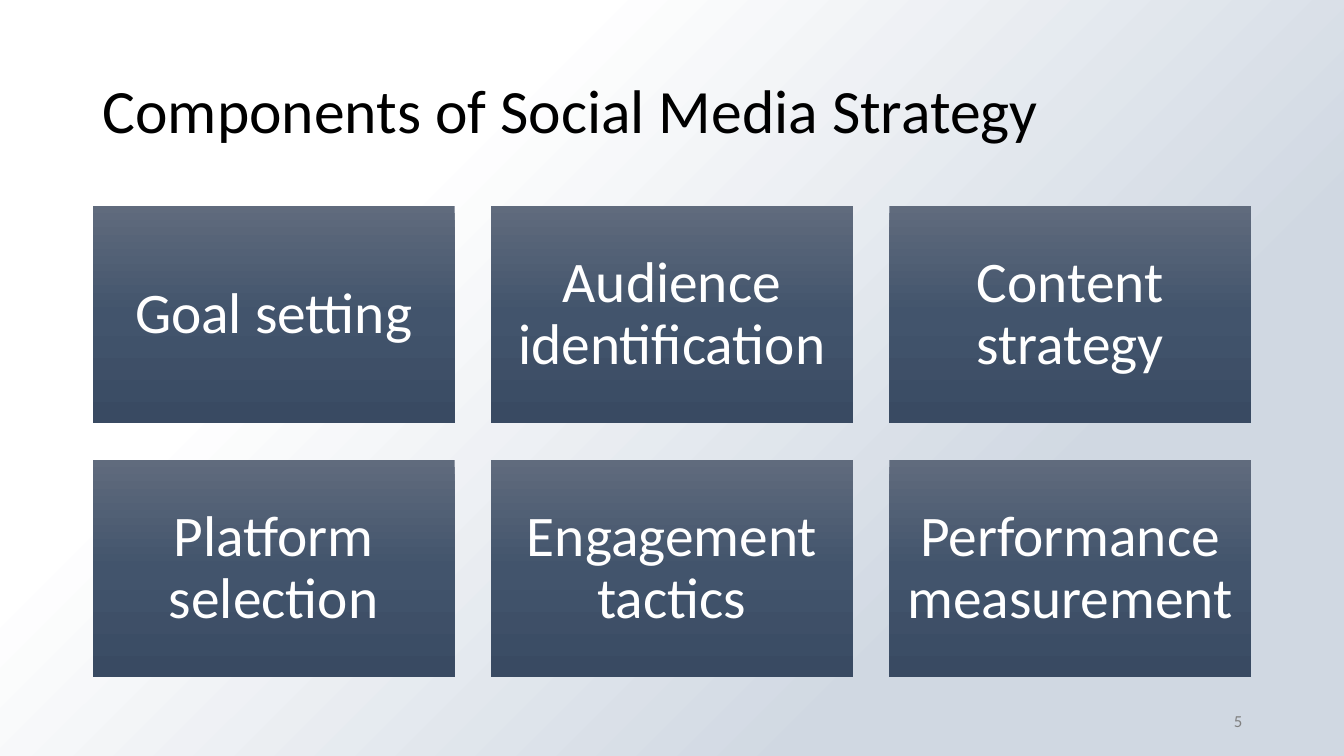
from lxml.etree import SubElement
from pptx import Presentation
from pptx.dml.color import RGBColor
from pptx.enum.shapes import MSO_SHAPE as Shape
from pptx.enum.text import MSO_ANCHOR as Anchor, PP_ALIGN as Align
from pptx.oxml.ns import qn
from pptx.util import Inches, Pt

BLACK = RGBColor(0x00, 0x00, 0x00)
WHITE = RGBColor(0xFF, 0xFF, 0xFF)
GRAY = RGBColor(0x80, 0x80, 0x80)
BLUE = RGBColor(0x5B, 0x9B, 0xD5)
MIST = RGBColor(0xD0, 0xD8, 0xE2)
SLATE_LIGHT = RGBColor(0x60, 0x6B, 0x7D)
SLATE = RGBColor(0x42, 0x54, 0x6C)
SLATE_DARK = RGBColor(0x39, 0x4A, 0x62)

WIDTH, HEIGHT = 13.33, 7.5
LEFT, TOP = 0.92, 2.04
CARD_WIDTH, CARD_HEIGHT, GAP = 3.59, 2.16, 0.36
COLUMNS = 3

COMPONENTS = [
    "Goal setting", "Audience identification", "Content strategy",
    "Platform selection", "Engagement tactics", "Performance measurement",
]


class StrategySlide:
    """Draws the strategy slide in one shared style."""

    font_name = "Calibri"
    backdrop_stops = [(0, WHITE), (28, WHITE), (74, MIST), (100, MIST)]
    card_stops = [(0, SLATE_LIGHT), (50, SLATE), (100, SLATE_DARK)]

    def __init__(self, presentation):
        self.slide = presentation.slides.add_slide(presentation.slide_layouts[6])
        background = self.slide.background.fill
        background.solid()
        background.fore_color.rgb = BLUE

    def gradient_box(self, box, stops, angle):
        shape = self.slide.shapes.add_shape(Shape.RECTANGLE, *map(Inches, box))
        shape.shadow.inherit = False
        shape.line.fill.background()
        shape.fill.gradient()
        shape.fill.gradient_angle = angle
        stop_list = next(shape._element.spPr.iter(qn("a:gsLst")))
        for stop in list(stop_list):
            stop_list.remove(stop)
        for position, color in stops:
            stop = SubElement(stop_list, qn("a:gs"), pos=str(position * 1000))
            SubElement(stop, qn("a:srgbClr"), val=str(color))
        return shape

    def set_text(self, shape, text, size, color, margin=None, **paragraph_format):
        frame = shape.text_frame
        frame.word_wrap = True
        frame.vertical_anchor = Anchor.MIDDLE
        if margin is not None:
            for side in ("left", "top", "right", "bottom"):
                setattr(frame, f"margin_{side}", Inches(margin))
        paragraph = frame.paragraphs[0]
        for name, value in paragraph_format.items():
            setattr(paragraph, name, value)
        run = paragraph.add_run()
        run.text = text
        for name, value in {"name": self.font_name, "size": Pt(size)}.items():
            setattr(run.font, name, value)
        run.font.color.rgb = color

    def backdrop(self):
        self.gradient_box((0, 0, WIDTH, HEIGHT), self.backdrop_stops, 315)

    def label(self, box, text, size, color, **paragraph_format):
        shape = self.slide.shapes.add_textbox(*map(Inches, box))
        self.set_text(shape, text, size, color, **paragraph_format)

    def card(self, column, row, text):
        left = LEFT + column * (CARD_WIDTH + GAP)
        top = TOP + row * (CARD_HEIGHT + GAP)
        box = (left, top, CARD_WIDTH, CARD_HEIGHT)
        shape = self.gradient_box(box, self.card_stops, 270)
        self.set_text(shape, text, 41, WHITE, margin=0.17,
                      alignment=Align.CENTER, line_spacing=0.9)


def main():
    presentation = Presentation()
    presentation.slide_width = Inches(WIDTH)
    presentation.slide_height = Inches(HEIGHT)
    slide = StrategySlide(presentation)
    slide.backdrop()
    slide.label((LEFT, 0.4, 11.5, 1.45), "Components of Social Media Strategy",
                44, BLACK, line_spacing=0.9)
    slide.label((9.42, 6.95, 3, 0.4), "5", 12, GRAY,
                alignment=Align.RIGHT, space_after=Pt(6))
    for index, component in enumerate(COMPONENTS):
        row, column = divmod(index, COLUMNS)
        slide.card(column, row, component)
    presentation.save("out.pptx")


if __name__ == "__main__":
    main()
